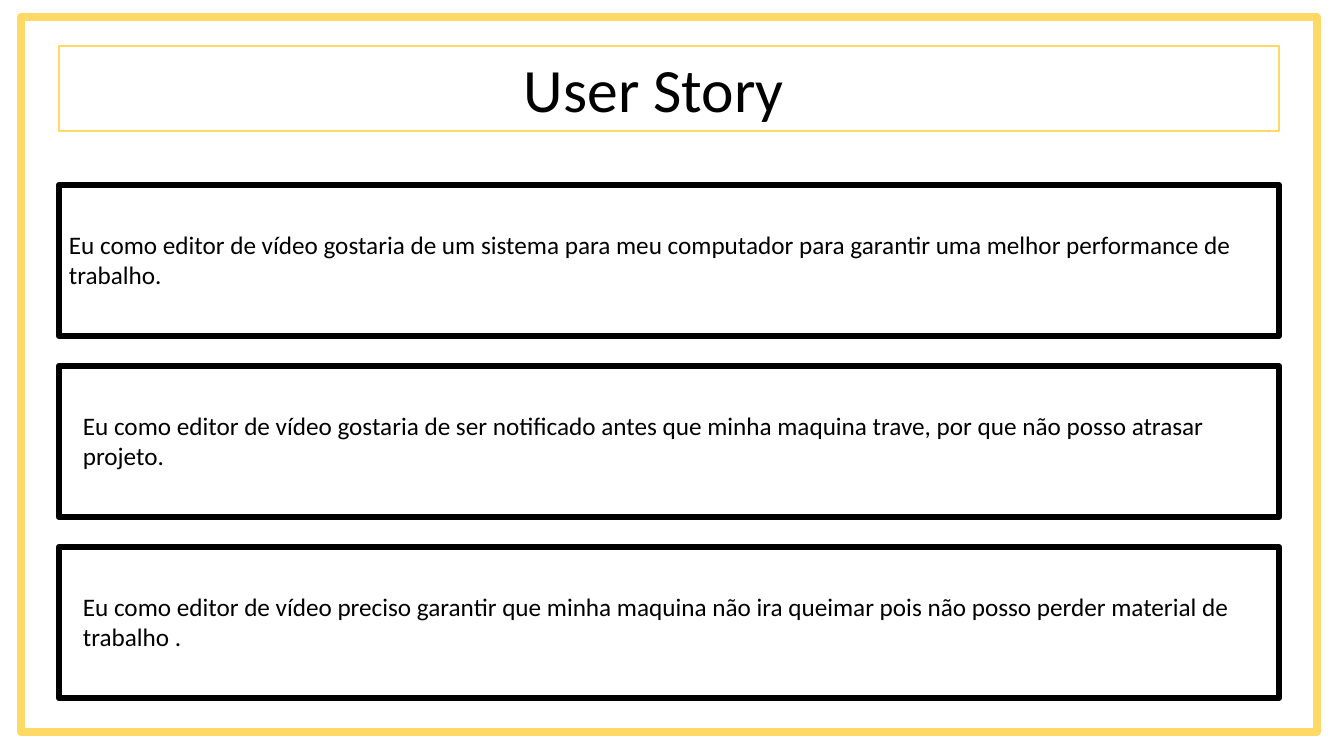
"""Builds the User Story slide: a framed title above three boxed stories."""
import pptx
import pptx.util
import pptx.dml.color
import pptx.enum.shapes
import pptx.enum.text

TITLE = "User Story"
STORIES = [
    ("Eu como editor de vídeo gostaria de um sistema para meu computador "
     "para garantir uma melhor performance de trabalho.", 59),
    ("Eu como editor de vídeo gostaria de ser notificado antes que minha "
     "maquina trave, por que não posso atrasar projeto.", 73),
    ("Eu como editor de vídeo preciso garantir que minha maquina não ira "
     "queimar pois não posso perder material de trabalho .", 73),
]
COLORS = {"gold": "FFD966", "black": "000000"}
FONT = "Calibri"
EMU_PER_PIXEL = 914400 / 100.8

BOX_LEFT, BOX_WIDTH = 59, 1220
STORY_TOP, STORY_HEIGHT, STORY_PITCH = 185, 151, 181
TEXT_WIDTH, TEXT_HEIGHT = 1193, 72
TITLE_TOP, TITLE_HEIGHT = 46, 85


def pixels(*lengths):
    return [round(length * EMU_PER_PIXEL) for length in lengths]


def color(name):
    return pptx.dml.color.RGBColor.from_string(COLORS[name])


def add_frame(slide, bounds, line_color, line_width):
    shape = slide.shapes.add_shape(
        pptx.enum.shapes.MSO_SHAPE.RECTANGLE, *pixels(*bounds))
    shape.shadow.inherit = False
    shape.fill.background()
    shape.line.color.rgb = color(line_color)
    shape.line.width = pptx.util.Pt(line_width)


def add_text(slide, text, bounds, size=18, wrap=True):
    box = slide.shapes.add_textbox(*pixels(*bounds))
    frame = box.text_frame
    frame.word_wrap = wrap
    frame.auto_size = pptx.enum.text.MSO_AUTO_SIZE.SHAPE_TO_FIT_TEXT
    run = frame.paragraphs[0].add_run()
    run.text = text
    run.font.name = FONT
    run.font.size = pptx.util.Pt(size)
    run.font.color.rgb = color("black")


presentation = pptx.Presentation()
presentation.slide_width, presentation.slide_height = pixels(1344, 756)
slide = presentation.slides.add_slide(presentation.slide_layouts[6])

add_frame(slide, (21, 17, 1296, 715), "gold", 6)
for index, (story, text_left) in enumerate(STORIES):
    top = STORY_TOP + index * STORY_PITCH
    text_top = top + (STORY_HEIGHT - TEXT_HEIGHT) / 2
    add_frame(slide, (BOX_LEFT, top, BOX_WIDTH, STORY_HEIGHT), "black", 4.5)
    add_text(slide, story, (text_left, text_top, TEXT_WIDTH, TEXT_HEIGHT))
add_text(slide, TITLE, (514, TITLE_TOP, 283, TITLE_HEIGHT), size=44, wrap=False)
add_frame(slide, (BOX_LEFT, TITLE_TOP, BOX_WIDTH, TITLE_HEIGHT), "gold", 1)

presentation.save("out.pptx")
